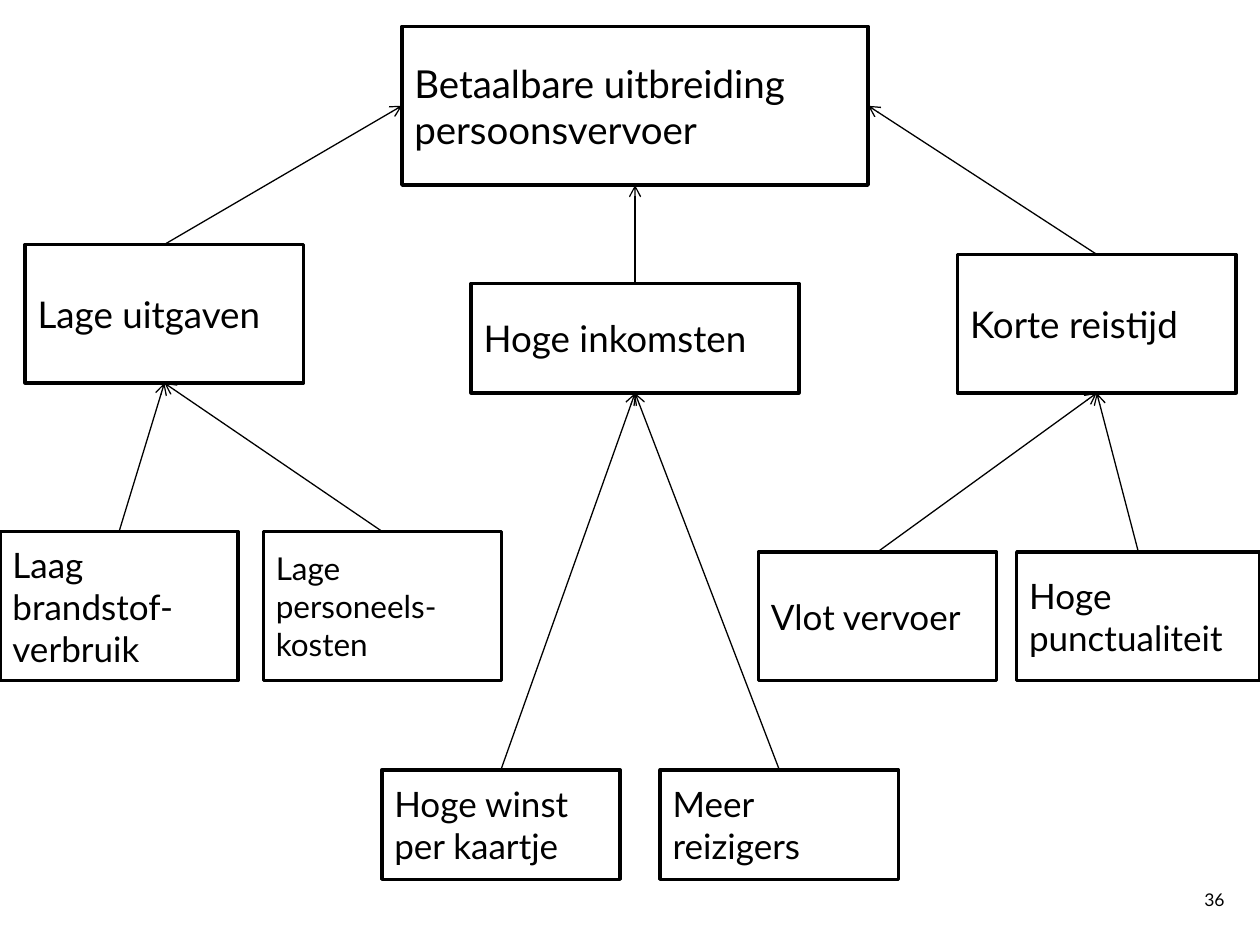
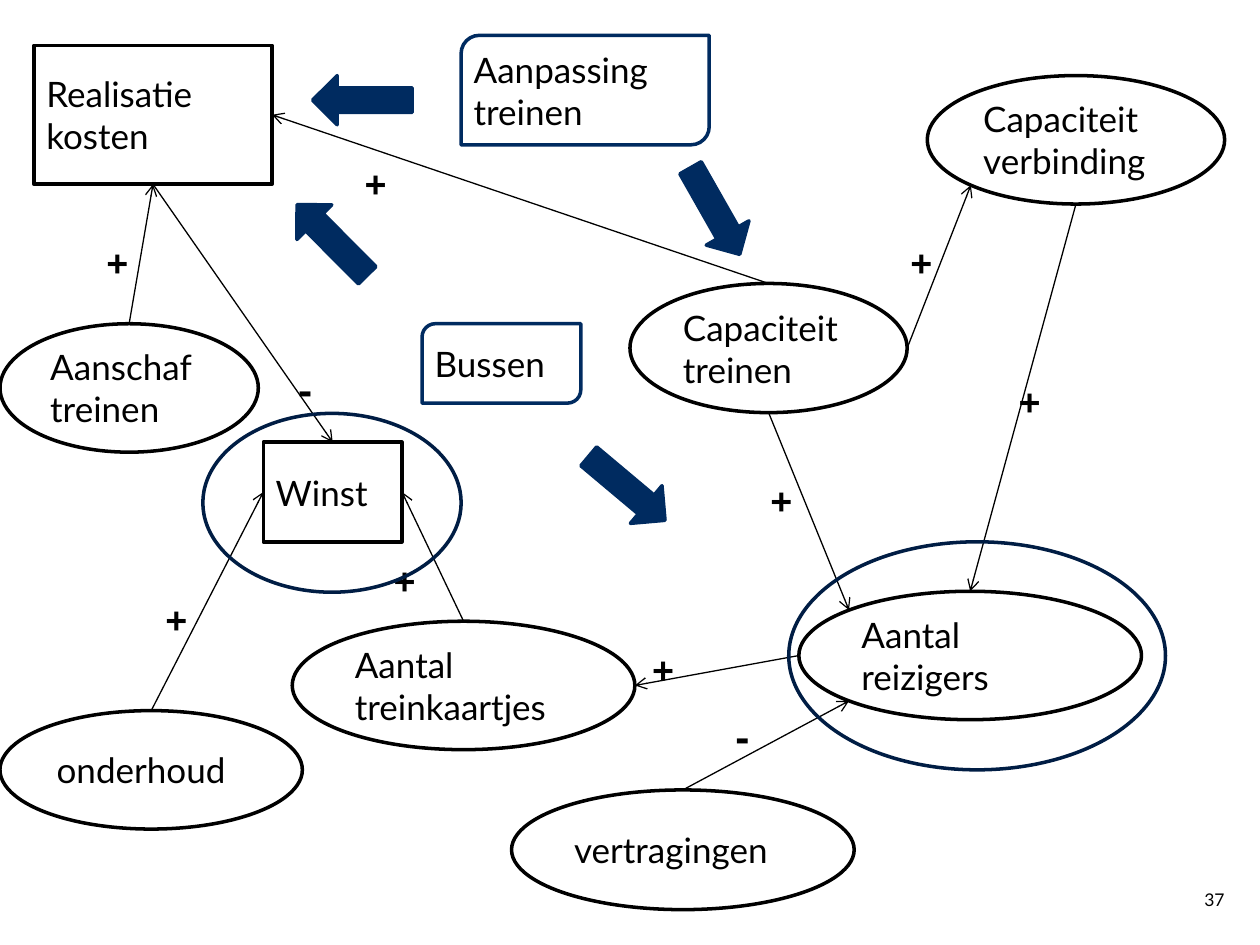
from math import sqrt
from pptx import Presentation
from pptx.dml.color import RGBColor
from pptx.enum.shapes import MSO_CONNECTOR, MSO_SHAPE
from pptx.enum.text import MSO_ANCHOR, PP_ALIGN
from pptx.oxml.ns import qn
from pptx.util import Pt
from lxml import etree

SLIDE_W, SLIDE_H = 720, 540
PAGE = (0, 0, SLIDE_W, SLIDE_H)
BLACK, WHITE, NAVY, RING = "000000", "FFFFFF", "002B60", "001D44"
FONT, SIGN_FONT = "Lato", "DejaVu Sans Mono"
LEAF_W = 136.1
RECT, OVAL = MSO_SHAPE.RECTANGLE, MSO_SHAPE.OVAL
DIAG = 0.5 - sqrt(0.125)  # where the diagonal meets an ellipse
SITES = {"top": (0.5, 0), "left": (0, 0.5), "bottom": (0.5, 1), "right": (1, 0.5),
         "top left": (DIAG, DIAG), "bottom left": (DIAG, 1 - DIAG)}
RECT_SITES = ["top", "left", "bottom", "right"]


def color(value):
    return RGBColor.from_string(value)


def within(area, left, top, w, h):
    return area[0] + left, area[1] + top, w, h


def write(sp, text, size=20, font=FONT, bold=False, anchor=MSO_ANCHOR.MIDDLE, inset=7.2):
    tf = sp.text_frame
    tf.word_wrap = True
    tf.vertical_anchor = anchor
    tf.margin_left = tf.margin_right = Pt(inset)
    tf.margin_top = tf.margin_bottom = Pt(3.6)
    p = tf.paragraphs[0]
    p.alignment = PP_ALIGN.LEFT
    r = p.add_run()
    r.text = text
    r.font.size, r.font.name, r.font.bold = Pt(size), font, bold
    r.font.color.rgb = color(BLACK)


def label(s, box, text, **fmt):
    sp = s.shapes.add_textbox(*map(Pt, box))
    write(sp, text, anchor=MSO_ANCHOR.TOP, **fmt)


def shape(s, kind, box, line=BLACK, fill=WHITE):
    sp = s.shapes.add_shape(kind, *map(Pt, box))
    sp.shadow.inherit = False
    if fill:
        sp.fill.solid()
        sp.fill.fore_color.rgb = color(fill)
    else:
        sp.fill.background()
    sp.line.color.rgb = color(line)
    sp.line.width = Pt(2)
    return sp


def nodes(s, area, specs):
    """Draw every (name: kind, box, text, size) and return the shapes by name."""
    made = {}
    for name, (kind, box, text, size) in specs.items():
        made[name] = shape(s, kind, within(area, *box))
        write(made[name], text, size=size)
    return made


def site_point(sp, site):
    fx, fy = SITES[site]
    return int(sp.left + fx * sp.width), int(sp.top + fy * sp.height)


def arrow(s, start, start_site, end, end_site):
    c = s.shapes.add_connector(MSO_CONNECTOR.STRAIGHT, *site_point(start, start_site),
                               *site_point(end, end_site))
    if start.auto_shape_type == RECT:
        c.begin_connect(start, RECT_SITES.index(start_site))
    if end.auto_shape_type == RECT:
        c.end_connect(end, RECT_SITES.index(end_site))
    c.line.color.rgb = color(BLACK)
    c.line.width = Pt(0.75)
    pr = c.element.spPr
    etree.SubElement(pr.find(qn("a:ln")), qn("a:tailEnd"), type="arrow")
    etree.SubElement(pr, qn("a:effectLst"))


def page_number(s, number):
    label(s, (681.1, 504.7, 28.8, 28.8), str(number), size=10)


def goal_tree(s, area):
    # Goals, from the main goal down to the leaves
    goal = nodes(s, area, {
        "uitbreiding": (RECT, (229.7, 15.1, 266.4, 90.7), "Betaalbare uitbreiding persoonsvervoer", 22),
        "uitgaven": (RECT, (14.4, 139.7, 159.1, 79.2), "Lage uitgaven", 21),
        "inkomsten": (RECT, (269.3, 162, 187.2, 62.6), "Hoge inkomsten", 21),
        "reistijd": (RECT, (547.2, 145.4, 159.1, 79.2), "Korte reistijd", 21),
        "brandstof": (RECT, (0, 303.8, LEAF_W, 85), "Laag brandstof-verbruik", 20),
        "personeel": (RECT, (150.5, 303.8, LEAF_W, 85), "Lage personeels-kosten", 18),
        "kaartje": (RECT, (218.2, 439.9, LEAF_W, 62.6), "Hoge winst per kaartje", 20),
        "reizigers": (RECT, (377.3, 439.9, LEAF_W, 62.6), "Meer reizigers", 20),
        "vervoer": (RECT, (433.4, 315.4, LEAF_W, 73.4), "Vlot vervoer", 20),
        "punctualiteit": (RECT, (581, 315.4, 139, 73.4), "Hoge punctualiteit", 20),
    })

    # Each subgoal points at the goal it serves
    for child, parent, site in [
        ("uitgaven", "uitbreiding", "left"),
        ("inkomsten", "uitbreiding", "bottom"),
        ("reistijd", "uitbreiding", "right"),
        ("brandstof", "uitgaven", "bottom"),
        ("personeel", "uitgaven", "bottom"),
        ("kaartje", "inkomsten", "bottom"),
        ("reizigers", "inkomsten", "bottom"),
        ("vervoer", "reistijd", "bottom"),
        ("punctualiteit", "reistijd", "bottom"),
    ]:
        arrow(s, goal[child], "top", goal[parent], site)


def causal_diagram(s, area):
    # Factors
    factor = nodes(s, area, {
        "kosten": (RECT, (19.4, 25.9, LEAF_W, 79.4), "Realisatie kosten", 20),
        "winst": (RECT, (150.5, 252.7, 79.2, 56.9), "Winst", 20),
        "aanschaf": (OVAL, (0, 185, 147.6, 73.4), "Aanschaf treinen", 20),
        "treinen": (OVAL, (360, 162, 158.4, 73.8), "Capaciteit treinen", 20),
        "verbinding": (OVAL, (529.9, 43.2, 169.9, 73.4), "Capaciteit verbinding", 20),
        "kaartjes": (OVAL, (167, 355, 195.8, 73.4), "Aantal treinkaartjes", 20),
        "reizigers": (OVAL, (456.5, 337.9, 195.8, 73.4), "Aantal reizigers", 20),
        "vertragingen": (OVAL, (292.3, 451.4, 195.8, 68.4), "vertragingen", 20),
        "onderhoud": (OVAL, (0, 406.1, 172.8, 67.7), "onderhoud", 20),
    })

    # Influences, each with its sign and the sign's position
    for start, start_site, end, end_site, sign, left, top in [
        ("aanschaf", "top", "kosten", "bottom", "+", 54, 133.9),
        ("treinen", "top", "kosten", "right", "+", 201.6, 88.6),
        ("kosten", "bottom", "winst", "top", "-", 161.3, 207.4),
        ("kaartjes", "top", "winst", "right", "+", 218.2, 315.4),
        ("reizigers", "left", "kaartjes", "right", "+", 365.8, 366.5),
        ("vertragingen", "top", "reizigers", "bottom left", "-", 411.1, 406.1),
        ("treinen", "bottom", "reizigers", "top left", "+", 433.4, 270),
        ("treinen", "right", "verbinding", "bottom left", "+", 513.4, 133.9),
        ("verbinding", "bottom", "reizigers", "top", "+", 575.3, 213.1),
        ("onderhoud", "top", "winst", "left", "+", 87.8, 337.7),
    ]:
        arrow(s, factor[start], start_site, factor[end], end_site)
        label(s, within(area, left, top, 33.8, 31.7), sign, font=SIGN_FONT, bold=True)

    # Measures, with two opposite corners rounded
    for box, text, inset in [((263.5, 20.2, 141.8, 62.6), "Aanpassing treinen", 4.1),
                             ((241.2, 185, 90.7, 45.4), "Bussen", 5)]:
        sp = shape(s, MSO_SHAPE.ROUND_2_DIAG_RECTANGLE, within(area, *box), line=NAVY)
        write(sp, text, inset=inset)

    # Block arrows from the measures to the factors they change
    for left, top, angle in [(394.6, 92.2, 330.4), (193, 28.8, 90),
                             (175.7, 108.7, 135.2), (344.2, 250.6, 310)]:
        sp = shape(s, MSO_SHAPE.DOWN_ARROW, within(area, left, top, 28.1, 56.9), NAVY, NAVY)
        sp.rotation = angle

    # Rings around the key outcomes
    for box in [(450.7, 309.6, 215.3, 130.3), (115.9, 236.2, 147.6, 102.2)]:
        shape(s, OVAL, within(area, *box), line=RING, fill=None)


def main():
    prs = Presentation()
    prs.slide_width, prs.slide_height = Pt(SLIDE_W), Pt(SLIDE_H)
    for number, draw in enumerate([goal_tree, causal_diagram], start=36):
        s = prs.slides.add_slide(prs.slide_layouts[6])
        page_number(s, number)
        draw(s, PAGE)
    prs.save("out.pptx")


if __name__ == "__main__":
    main()
